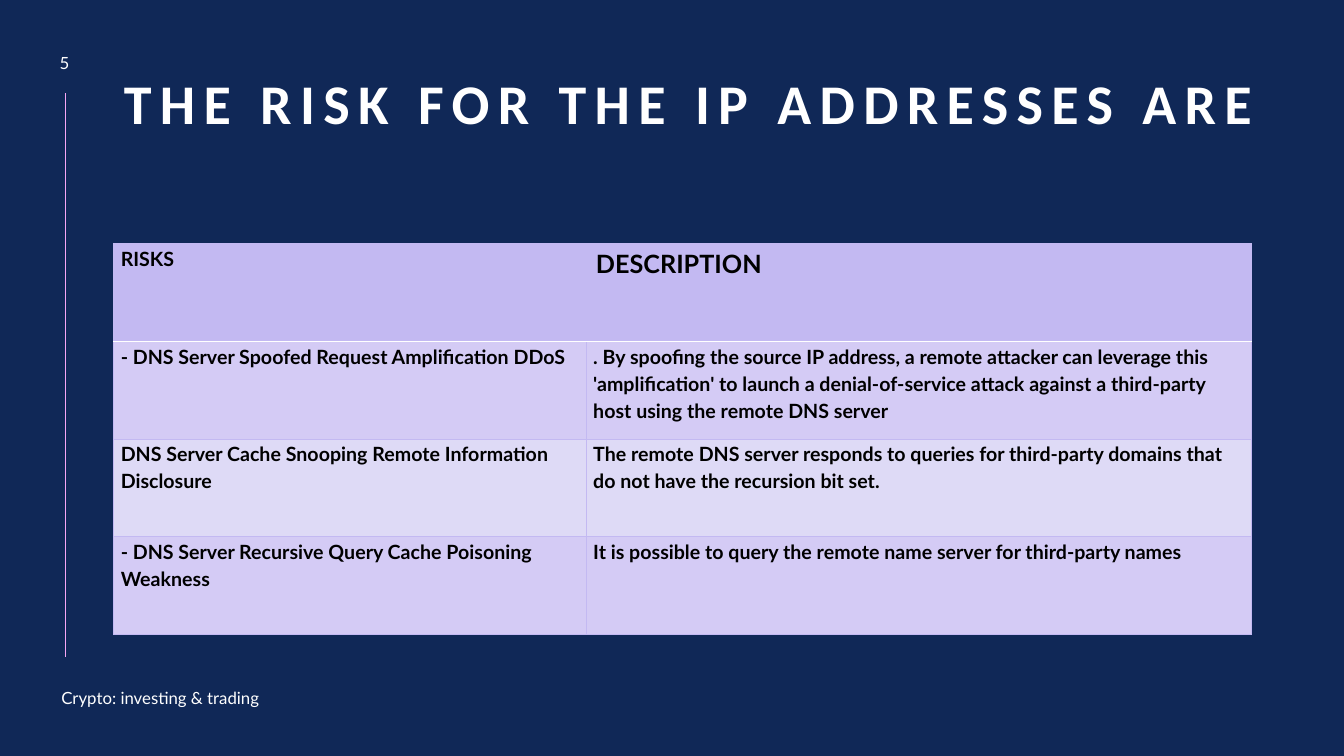
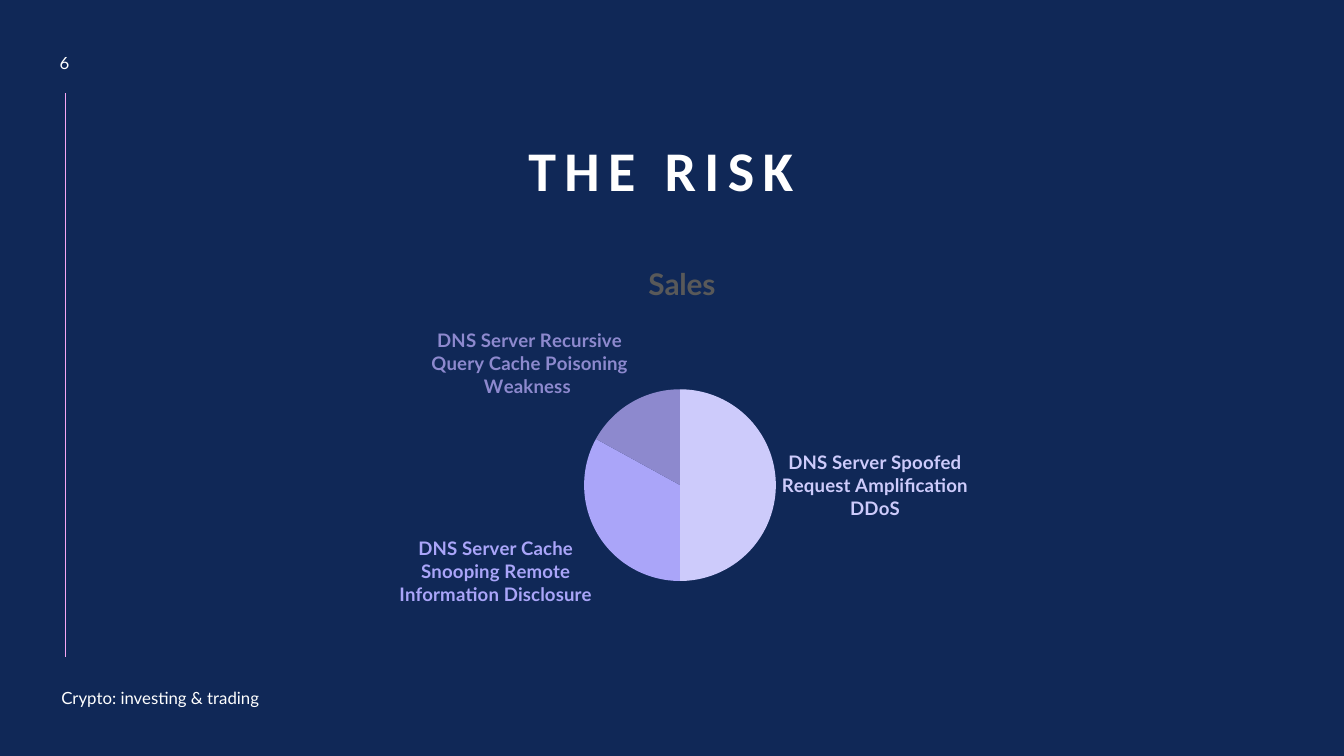
from copy import deepcopy
from dataclasses import dataclass

from lxml import etree
from pptx import Presentation
from pptx import util as u
from pptx.chart import data as chart_data
from pptx.dml import color
from pptx.enum import chart as ce
from pptx.enum import shapes, text
from pptx.oxml import ns

NAVY = color.RGBColor(0x10, 0x28, 0x57)
WHITE = color.RGBColor(0xFF, 0xFF, 0xFF)
BLACK = color.RGBColor(0x00, 0x00, 0x00)
PINK = color.RGBColor(0xF6, 0xA6, 0xF4)
LILAC = color.RGBColor(0xC3, 0xB9, 0xF2)
LILAC_MID = color.RGBColor(0xD4, 0xCB, 0xF5)
LILAC_PALE = color.RGBColor(0xDE, 0xDA, 0xF6)
GREY = color.RGBColor(0x59, 0x59, 0x59)
SLICE_COLOURS = (
    color.RGBColor(0xCD, 0xCB, 0xFB),
    color.RGBColor(0xAA, 0xA5, 0xF9),
    color.RGBColor(0x8D, 0x89, 0xCE),
)

HEAD_FONT = "Calibri"
BODY_FONT = "Lato"
EMU_PER_PX = 9525


def px(length: int) -> u.Emu:
    return u.Emu(length * EMU_PER_PX)


@dataclass(frozen=True)
class Box:
    left: int
    top: int
    width: int
    height: int

    def emu(self) -> tuple:
        return px(self.left), px(self.top), px(self.width), px(self.height)


@dataclass(frozen=True)
class Heading:
    words: str
    box: Box
    ends_with_break: bool = False


@dataclass(frozen=True)
class Risk:
    name: str
    description: str


@dataclass(frozen=True)
class Share:
    category: str
    value: int
    colour: color.RGBColor


NUMBER_BOX = Box(34, 43, 55, 33)
FOOTER_BOX = Box(49, 650, 245, 29)
FOOTER = "Crypto: investing & trading"
RULE_X, RULE_TOP, RULE_BOTTOM = 62, 89, 626

RISK_COLUMNS = (450, 634)
RISK_ROW = 93
RISKS = (
    Risk(
        "- DNS Server Spoofed Request Amplification DDoS",
        ". By spoofing the source IP address, a remote attacker can leverage this "
        "'amplification' to launch a denial-of-service attack against a third-party "
        "host using the remote DNS server",
    ),
    Risk(
        "DNS Server Cache Snooping Remote Information Disclosure",
        "The remote DNS server responds to queries for third-party domains that "
        "do not have the recursion bit set.",
    ),
    Risk(
        "- DNS Server Recursive Query Cache Poisoning Weakness",
        "It is possible to query the remote name server for third-party names",
    ),
)
SHARES = (
    Share("DNS Server Spoofed Request Amplification DDoS", 50, SLICE_COLOURS[0]),
    Share("DNS Server Cache Snooping Remote Information Disclosure", 33, SLICE_COLOURS[1]),
    Share("DNS Server Recursive Query Cache Poisoning Weakness ", 17, SLICE_COLOURS[2]),
)


def style_font(font, name: str, size: float, colour: color.RGBColor, bold: bool = False) -> None:
    font.name = name
    font.size = u.Pt(size)
    font.bold = bold
    font.color.rgb = colour


def add_label(slide, words: str, box: Box, align) -> None:
    frame = slide.shapes.add_textbox(*box.emu()).text_frame
    frame.word_wrap = True
    frame.vertical_anchor = text.MSO_ANCHOR.MIDDLE
    paragraph = frame.paragraphs[0]
    paragraph.alignment = align
    run = paragraph.add_run()
    run.text = words
    style_font(run.font, BODY_FONT, 12, WHITE)


def set_heading(slide, heading: Heading) -> None:
    title = slide.shapes.title
    title.left, title.top, title.width, title.height = heading.box.emu()
    frame = title.text_frame
    frame.word_wrap = True
    frame.auto_size = text.MSO_AUTO_SIZE.NONE
    frame.vertical_anchor = text.MSO_ANCHOR.BOTTOM
    paragraph = frame.paragraphs[0]
    paragraph.alignment = text.PP_ALIGN.CENTER
    paragraph.line_spacing = 0.9
    run = paragraph.add_run()
    run.text = heading.words
    style_font(run.font, HEAD_FONT, 40, WHITE, bold=True)
    properties = run._r.get_or_add_rPr()
    properties.set("spc", "600")
    if heading.ends_with_break:
        paragraph.add_line_break()
        paragraph._p[-1].append(deepcopy(properties))
        closing = etree.SubElement(paragraph._p, ns.qn("a:endParaRPr"), dict(properties.attrib))
        closing.extend(deepcopy(child) for child in properties)


def add_side_rule(slide) -> None:
    rule = slide.shapes.add_connector(
        shapes.MSO_CONNECTOR.STRAIGHT, px(RULE_X), px(RULE_TOP), px(RULE_X), px(RULE_BOTTOM)
    )
    rule.line.color.rgb = PINK
    rule.line.width = u.Pt(0.5)
    etree.SubElement(rule._element.spPr, ns.qn("a:effectLst"))


def add_framed_slide(prs, number: int, heading: Heading):
    slide = prs.slides.add_slide(prs.slide_layouts[5])
    add_side_rule(slide)
    set_heading(slide, heading)
    add_label(slide, str(number), NUMBER_BOX, text.PP_ALIGN.CENTER)
    add_label(slide, FOOTER, FOOTER_BOX, text.PP_ALIGN.LEFT)
    return slide


def set_border(cell, side: str, colour: color.RGBColor, points: float) -> None:
    edge = etree.SubElement(
        cell._tc.get_or_add_tcPr(), ns.qn(f"a:{side}"), {"w": str(int(u.Pt(points)))}
    )
    fill = etree.SubElement(edge, ns.qn("a:solidFill"))
    etree.SubElement(fill, ns.qn("a:srgbClr"), {"val": str(colour)})


def fill_cell(cell, words: str, row: int, size: int, compact: bool) -> None:
    white_side = {0: "lnB", 1: "lnT"}.get(row)
    for side in ("lnL", "lnR", "lnT", "lnB"):
        if side == white_side:
            set_border(cell, side, WHITE, 1)
        else:
            set_border(cell, side, LILAC, 0.5)
    cell.fill.solid()
    if row == 0:
        cell.fill.fore_color.rgb = LILAC
    else:
        cell.fill.fore_color.rgb = LILAC_MID if row % 2 else LILAC_PALE
    paragraph = cell.text_frame.paragraphs[0]
    if compact:
        cell.margin_left = cell.margin_right = px(7)
        cell.margin_top = cell.margin_bottom = 0
        paragraph.line_spacing = 1.15
    run = paragraph.add_run()
    run.text = words
    style_font(run.font, BODY_FONT, size, BLACK, bold=True)


def add_risk_table(slide) -> None:
    rows = (Risk("RISKS", "DESCRIPTION"), *RISKS)
    box = Box(108, 232, sum(RISK_COLUMNS), RISK_ROW * len(rows))
    table = slide.shapes.add_table(len(rows), len(RISK_COLUMNS), *box.emu()).table
    table.first_row = False
    table.horz_banding = False
    for column, width in zip(table.columns, RISK_COLUMNS):
        column.width = px(width)
    for index, risk in enumerate(rows):
        table.rows[index].height = px(RISK_ROW)
        for position, words in enumerate((risk.name, risk.description)):
            large = index == 0 and position == 1
            fill_cell(table.cell(index, position), words, index, 18 if large else 14, not large)


def show_category_only(labels) -> None:
    for tag, value in (("c:showVal", "0"), ("c:showCatName", "1"), ("c:showPercent", "0")):
        for flag in labels.iter(ns.qn(tag)):
            flag.set("val", value)


def add_risk_pie(slide) -> None:
    pie_data = chart_data.CategoryChartData()
    pie_data.categories = [share.category for share in SHARES]
    pie_data.add_series("Sales", [share.value for share in SHARES])
    chart = slide.shapes.add_chart(
        ce.XL_CHART_TYPE.PIE, *Box(107, 232, 1085, 372).emu(), pie_data
    ).chart
    chart.has_legend = False
    style_font(chart.font, BODY_FONT, 10, BLACK)
    chart.has_title = True
    chart.chart_title.include_in_layout = False
    run = chart.chart_title.text_frame.paragraphs[0].add_run()
    run.text = "Sales"
    style_font(run.font, BODY_FONT, 21.3, GREY, bold=True)

    plot = chart.plots[0]
    plot.vary_by_categories = True
    series = plot.series[0]
    series.data_labels.show_value = False
    series.data_labels.show_category_name = True
    series.data_labels.position = ce.XL_LABEL_POSITION.OUTSIDE_END
    for index, share in enumerate(SHARES):
        point = series.points[index]
        point.format.fill.solid()
        point.format.fill.fore_color.rgb = share.colour
        point.format.line.fill.background()
        style_font(point.data_label.font, BODY_FONT, 13.3, share.colour, bold=True)
        point.data_label.position = ce.XL_LABEL_POSITION.OUTSIDE_END
    show_category_only(series.data_labels._element)


def main() -> None:
    prs = Presentation()
    prs.slide_width, prs.slide_height = px(1280), px(720)
    backdrop = prs.slide_master.background.fill
    backdrop.solid()
    backdrop.fore_color.rgb = NAVY

    addresses = Heading("THE RISK FOR THE IP ADDRESSES ARE", Box(89, 87, 1142, 112), True)
    add_risk_table(add_framed_slide(prs, 5, addresses))
    add_risk_pie(add_framed_slide(prs, 6, Heading("THE RISK ", Box(115, 87, 1049, 112))))
    prs.save("out.pptx")


if __name__ == "__main__":
    main()
